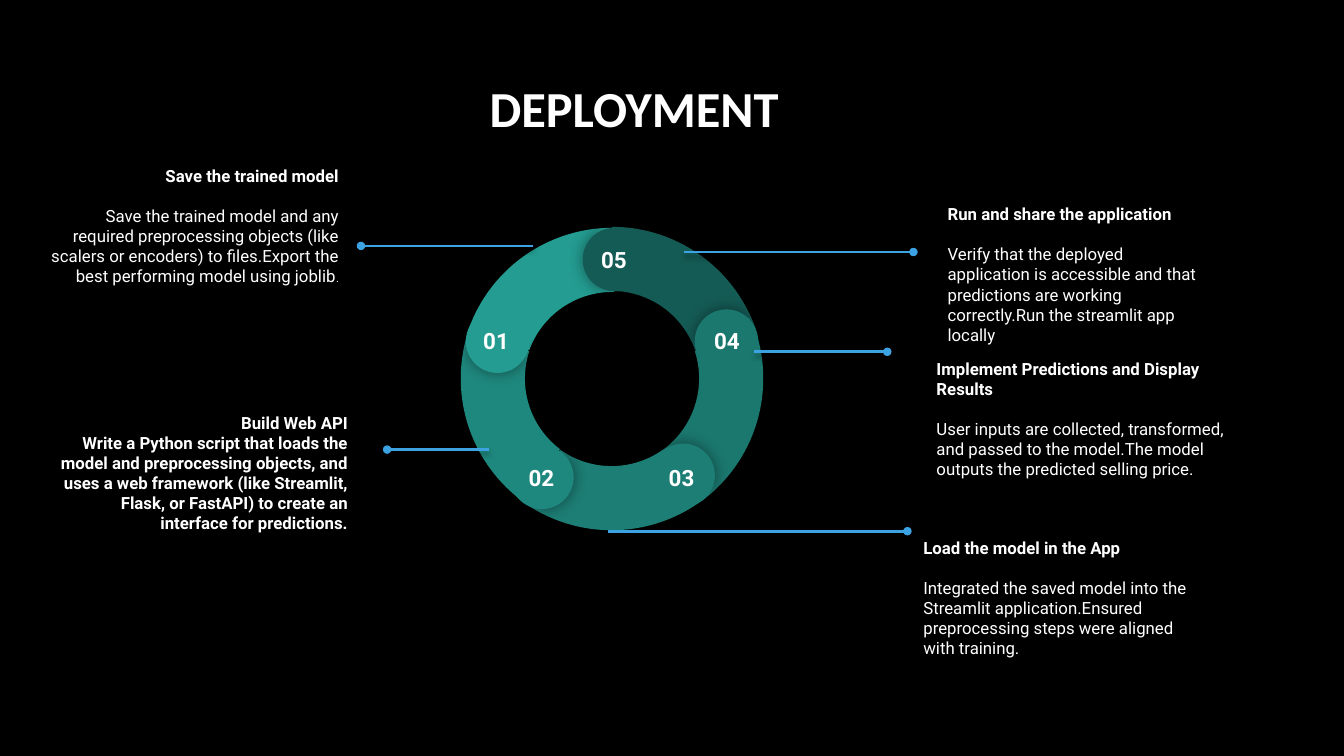
from dataclasses import dataclass

from lxml.etree import SubElement
from pptx import Presentation
from pptx.dml.color import RGBColor
from pptx.enum.shapes import MSO_CONNECTOR, MSO_SHAPE
from pptx.enum.text import MSO_ANCHOR, PP_ALIGN
from pptx.oxml.ns import qn
from pptx.util import Inches, Pt


@dataclass(frozen=True)
class Theme:
    background: str = "000000"
    text: str = "FFFFFF"
    line: str = "3CA2E2"
    shadow: str = "000000"
    title_font: str = "Calibri"
    body_font: str = "Roboto"
    title_size: int = 36
    number_size: int = 16
    body_size: int = 12
    small_size: int = 8


theme = Theme()


def write(para, text, size=theme.body_size, bold=False, font=theme.body_font,
          align=PP_ALIGN.LEFT, before=0, after=0):
    """Add a span to a paragraph and format both."""
    para.alignment = align
    para.space_before, para.space_after = Pt(before), Pt(after)
    span = para.add_run()
    span.text = text
    span.font.size, span.font.bold, span.font.name = Pt(size), bold, font
    span.font.color.rgb = RGBColor.from_string(theme.text)


def add_shadow(shape, opacity, blur, distance=0, direction=0):
    """Give a shape an outer shadow: percent, points, points, degrees."""
    properties = shape._element.spPr
    for effects in properties.findall(qn("a:effectLst")):
        properties.remove(effects)
    effects = SubElement(properties, qn("a:effectLst"))
    outer = SubElement(effects, qn("a:outerShdw"), blurRad=str(Pt(blur)), dist=str(Pt(distance)),
                       dir=str(direction * 60000), algn="bl", rotWithShape="0")
    color = SubElement(outer, qn("a:srgbClr"), val=theme.shadow)
    SubElement(color, qn("a:alpha"), val=str(opacity * 1000))


deck = Presentation()
deck.slide_width, deck.slide_height = Inches(13.33), Inches(7.5)
page = deck.slides.add_slide(deck.slide_layouts[5])
page.background.fill.solid()
page.background.fill.fore_color.rgb = RGBColor.from_string(theme.background)

title = page.shapes.title
title.left, title.top, title.width, title.height = map(Inches, (0.75, 0.67, 11.08, 0.79))
title.text_frame.vertical_anchor = MSO_ANCHOR.MIDDLE
write(title.text_frame.paragraphs[0], "DEPLOYMENT", size=theme.title_size, bold=True,
      font=theme.title_font, align=PP_ALIGN.CENTER)

# Ring segments: number, colour, arc corner, arc turn, cap corner, cap turn, label corner
segments = [
    ("02", "1F887E", (4.57, 2.24), 277, (5.06, 4.42), 211.1, (5.09, 4.50)),
    ("04", "1B786F", (4.54, 2.24), 132, (6.89, 3.07), 67.1, (6.93, 3.15)),
    ("05", "155B55", (4.55, 2.25), 60, (5.78, 2.26), 357.1, (5.81, 2.34)),
    ("03", "1D7E75", (4.55, 2.23), 204, (6.46, 4.40), 139.1, (6.48, 4.50)),
    ("01", "249C91", (4.56, 2.26), 350, (4.62, 3.07), 284.1, (4.64, 3.15)),
]
ARC_SIZE, CAP_SIZE = 3.03, 0.63
ARC_ANGLES = (126.03, 168.68, 0.21)
SHADED_HALF, PLAIN_HALF = (61.9, 149.96), (40.28, 171.84)
HALF_TURN = 179.3

arcs = [(MSO_SHAPE.BLOCK_ARC, color, corner, ARC_SIZE, turn, ARC_ANGLES, False)
        for _, color, corner, turn, _, _, _ in segments]
caps = [(MSO_SHAPE.PIE, color, corner, CAP_SIZE, (turn + extra) % 360, angles, shaded)
        for _, color, _, _, corner, turn, _ in segments
        for extra, angles, shaded in ((0, SHADED_HALF, True), (HALF_TURN, PLAIN_HALF, False))]

for kind, color, (left, top), size, turn, angles, shaded in arcs + caps:
    part = page.shapes.add_shape(kind, Inches(left), Inches(top), Inches(size), Inches(size))
    part.rotation = turn
    for index, angle in enumerate(angles):
        part.adjustments[index] = angle
    part.fill.solid()
    part.fill.fore_color.rgb = RGBColor.from_string(color)
    part.line.fill.background()
    part.shadow.inherit = False
    if shaded:
        add_shadow(part, opacity=43, blur=11.2)

for number, *_, (left, top) in segments:
    label = page.shapes.add_textbox(Inches(left), Inches(top), Inches(0.56), Inches(0.29))
    frame = label.text_frame
    frame.word_wrap = True
    frame.margin_left = frame.margin_right = frame.margin_top = frame.margin_bottom = Inches(0.1)
    write(frame.paragraphs[0], number, size=theme.number_size, bold=True, align=PP_ALIGN.CENTER)

# Callouts: line start x, line end x, line y, text box, alignment, heading, body, body is bold
callouts = [
    (5.29, 3.58, 2.44, (0.34, 0.98, 3.12, 2.52), PP_ALIGN.RIGHT, "Save the trained model",
     "Save the trained model and any required preprocessing objects (like scalers or encoders) "
     "to files.Export the best performing model using joblib", False),
    (4.85, 3.84, 4.46, (0.41, 3.47, 3.14, 2.44), PP_ALIGN.RIGHT, "Build Web API",
     "Write a Python script that loads the model and preprocessing objects, and uses a web "
     "framework (like Streamlit, Flask, or FastAPI) to create an interface for predictions.", True),
    (6.78, 9.06, 2.5, (9.3, 1.99, 2.72, 1.46), PP_ALIGN.LEFT, "Run and share the application",
     "Verify that the deployed application is accessible and that predictions are working "
     "correctly.Run the streamlit app locally", False),
    (7.48, 8.8, 3.49, (9.19, 3.53, 3.17, 1.25), PP_ALIGN.LEFT,
     "Implement Predictions and Display Results",
     "User inputs are collected, transformed, and passed to the model.The model outputs the "
     "predicted selling price.", False),
    (6.03, 9, 5.27, (9.06, 5, 2.97, 1.86), PP_ALIGN.LEFT, "Load the model in the App",
     "Integrated the saved model into the Streamlit application.Ensured preprocessing steps "
     "were aligned with training.", False),
]
for start, end, y, area, align, heading, body, bold in callouts:
    leader = page.shapes.add_connector(MSO_CONNECTOR.STRAIGHT, Inches(start), Inches(y),
                                       Inches(end), Inches(y))
    leader.line.color.rgb = RGBColor.from_string(theme.line)
    leader.line.width = Pt(2)
    SubElement(leader.line._get_or_add_ln(), qn("a:tailEnd"), type="oval")
    add_shadow(leader, opacity=35, blur=4, distance=3, direction=90)

    box = page.shapes.add_textbox(*map(Inches, area))
    frame = box.text_frame
    frame.word_wrap = True
    frame.vertical_anchor = MSO_ANCHOR.MIDDLE
    frame.margin_left = frame.margin_right = frame.margin_top = frame.margin_bottom = Inches(0.1)
    write(frame.paragraphs[0], heading, bold=True, align=align)
    spacing = dict(align=align, before=0 if bold else 14.4, after=16)
    para = frame.add_paragraph()
    write(para, body, bold=bold, **spacing)
    if not body.endswith(".") and align == PP_ALIGN.RIGHT:
        write(para, ".", size=theme.small_size, **spacing)

deck.save("out.pptx")
